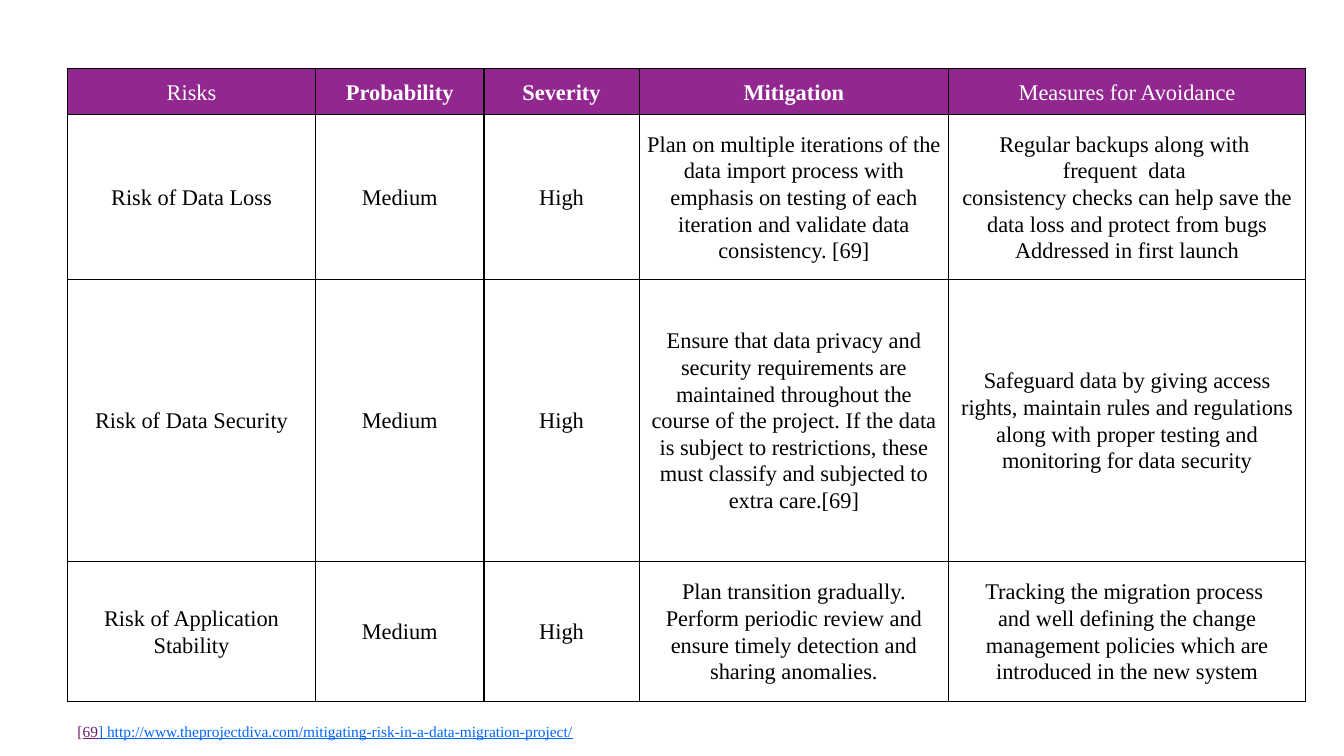
from pptx import Presentation
from pptx.dml.color import RGBColor
from pptx.enum.text import MSO_ANCHOR, PP_ALIGN
from pptx.oxml import parse_xml
from pptx.oxml.ns import nsdecls
from pptx.util import Inches, Pt

WHITE = RGBColor(0xFF, 0xFF, 0xFF)
BLACK = RGBColor(0x00, 0x00, 0x00)
PURPLE = RGBColor(0x92, 0x27, 0x8F)
PLUM = RGBColor(0x6D, 0x1D, 0x6B)
LINK_BLUE = RGBColor(0x00, 0x66, 0xFF)

COL_WIDTHS = [2.46, 1.67, 1.54, 3.07, 3.54]
ROW_HEIGHTS = [0.46, 1.63, 2.8, 1.39]
BOLD_HEADERS = {"Probability", "Severity", "Mitigation"}
RISKS = [
    ["Risks", "Probability", "Severity", "Mitigation", "Measures for Avoidance"],
    ["Risk of Data Loss", "Medium", "High",
     "Plan on multiple iterations of the data import process with emphasis on "
     "testing of each iteration and validate data consistency. [69]",
     "Regular backups along with \nfrequent  data \n"
     "consistency checks can help save the data loss and protect from bugs\n"
     "Addressed in first launch"],
    ["Risk of Data Security", "Medium", "High",
     "Ensure that data privacy and security requirements are maintained "
     "throughout the course of the project. If the data is subject to "
     "restrictions, these must classify and subjected to extra care.[69]",
     "Safeguard data by giving access rights, maintain rules and regulations "
     "along with proper testing and monitoring for data security"],
    ["Risk of Application Stability", "Medium", "High",
     "Plan transition gradually. Perform periodic review and ensure timely "
     "detection and sharing anomalies.",
     "Tracking the migration process \nand well defining the change management "
     "policies which are introduced in the new system"],
]
REFERENCE = [
    ("[", PLUM, False),
    ("69", PLUM, True),
    ("] http://www.theprojectdiva.com/mitigating-risk-in-a-data-migration-project/",
     LINK_BLUE, True),
]


class RiskSlide:
    font = "Times New Roman"
    table_size = 16
    note_size = 11

    def __init__(self, prs):
        self.s = prs.slides.add_slide(prs.slide_layouts[6])
        fill = self.s.background.fill
        fill.solid()
        fill.fore_color.rgb = WHITE

    def run(self, p, text, size, color, bold=False, underline=False):
        r = p.add_run()
        r.text = text
        r.font.name = self.font
        r.font.size = Pt(size)
        r.font.color.rgb = color
        r.font.bold = bold
        r.font.underline = underline

    def borders(self, cell):
        tc_pr = cell._tc.get_or_add_tcPr()
        for i, side in enumerate(("lnL", "lnR", "lnT", "lnB")):
            tc_pr.insert(i, parse_xml(
                f'<a:{side} {nsdecls("a")} w="{Pt(1)}"><a:solidFill>'
                f'<a:srgbClr val="{BLACK}"/></a:solidFill></a:{side}>'))

    def cell(self, cell, text, header):
        cell.vertical_anchor = MSO_ANCHOR.MIDDLE
        cell.margin_left = cell.margin_right = Inches(0.07)
        cell.margin_top = cell.margin_bottom = 0
        if header:
            cell.fill.solid()
            cell.fill.fore_color.rgb = PURPLE
        else:
            cell.fill.background()
        self.borders(cell)
        tf = cell.text_frame
        for i, line in enumerate(text.split("\n")):
            p = tf.add_paragraph() if i else tf.paragraphs[0]
            p.alignment = PP_ALIGN.CENTER
            p.line_spacing = 1.07
            self.run(p, line, self.table_size, WHITE if header else BLACK,
                     bold=header and text in BOLD_HEADERS)

    def table(self, x, y, widths, heights, rows):
        table = self.s.shapes.add_table(
            len(rows), len(widths), Inches(x), Inches(y),
            Inches(sum(widths)), Inches(sum(heights))).table
        table.first_row = table.horz_banding = False
        for col, width in zip(table.columns, widths):
            col.width = Inches(width)
        for row, height in zip(table.rows, heights):
            row.height = Inches(height)
        for i, texts in enumerate(rows):
            for j, text in enumerate(texts):
                self.cell(table.cell(i, j), text, header=i == 0)

    def note(self, x, y, w, h, runs):
        tf = self.s.shapes.add_textbox(
            Inches(x), Inches(y), Inches(w), Inches(h)).text_frame
        tf.word_wrap = True
        p = tf.paragraphs[0]
        for text, color, underline in runs:
            self.run(p, text, self.note_size, color, underline=underline)


def main():
    prs = Presentation()
    prs.slide_width, prs.slide_height = Inches(13.33), Inches(7.5)
    slide = RiskSlide(prs)
    slide.table(0.67, 0.68, COL_WIDTHS, ROW_HEIGHTS, RISKS)
    slide.note(0.67, 7.11, 8.24, 0.29, REFERENCE)
    prs.save("out.pptx")


if __name__ == "__main__":
    main()
